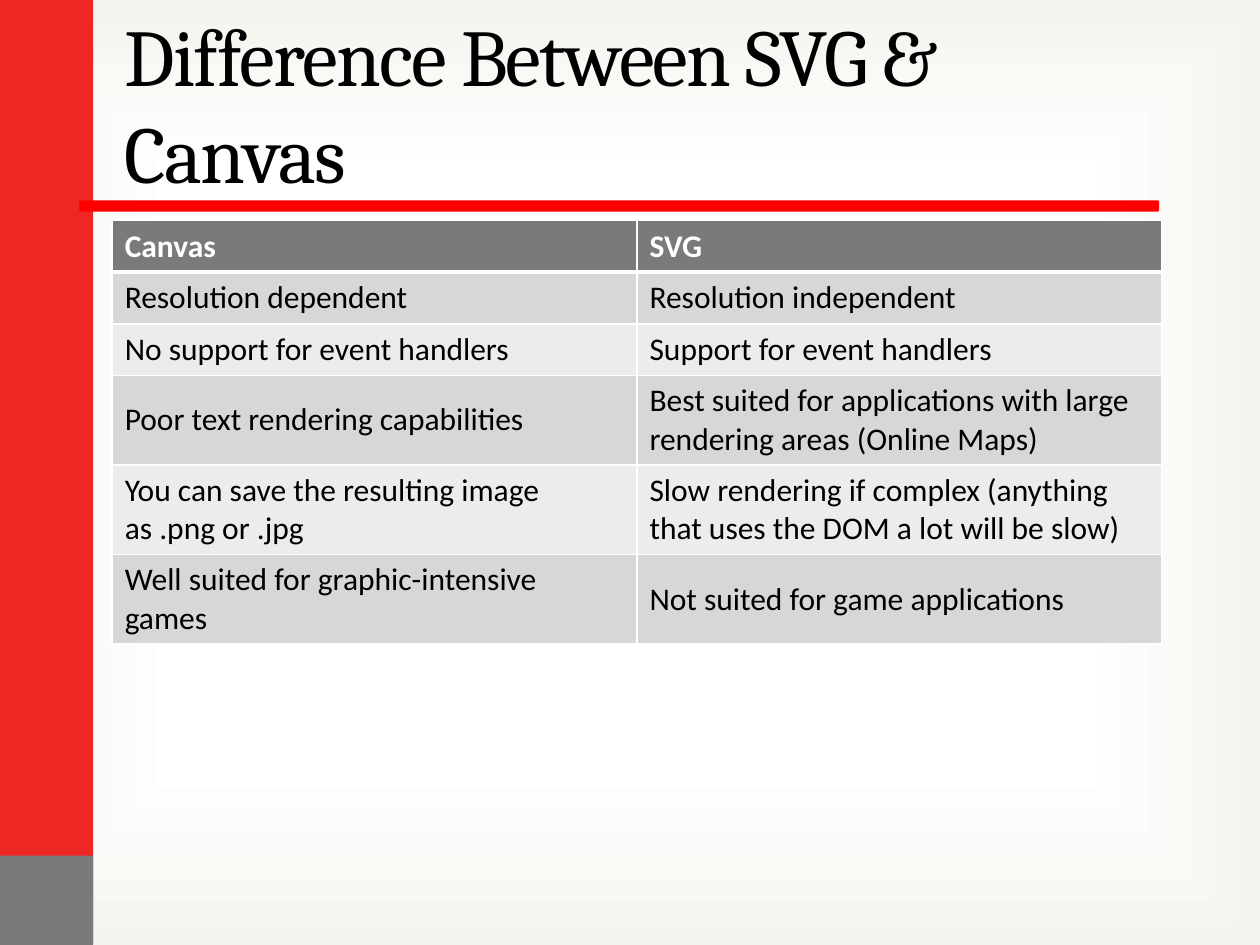
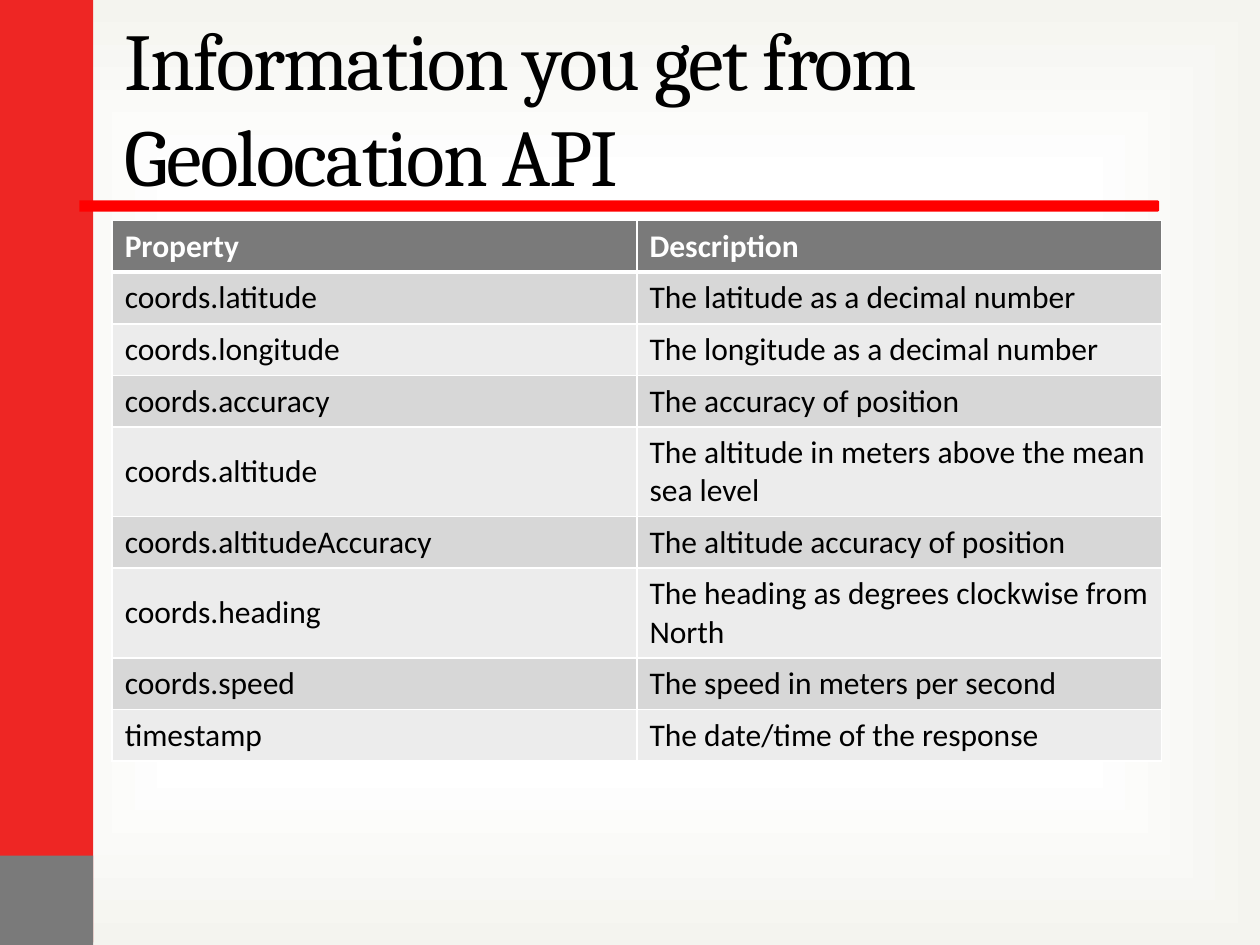
import dataclasses

import pptx
import pptx.dml.color
import pptx.enum.shapes
import pptx.enum.text
import pptx.oxml
import pptx.oxml.ns
import pptx.util
from pptx.util import Inches


@dataclasses.dataclass(frozen=True)
class Theme:
    """Colours, fonts and type sizes shared by the slides."""

    red: str = "EE2624"
    rule: str = "FF0000"
    grey: str = "7A7A7A"
    bands: tuple = ("D7D7D7", "ECECEC")
    paper: str = "FFFFFF"
    paper_edge: str = "F4F4EF"
    ink: str = "000000"
    title_font: str = "Cambria"
    body_font: str = "Calibri"
    title_size: int = 46
    body_size: int = 18


THEME = Theme()
LEFT, CONTENT_WIDTH = 0.89, 8.33
TABLE_TOP, ROW_HEIGHT = 1.75, 0.41

CANVAS_ROWS = [
    ("Canvas", "SVG"),
    ("Resolution dependent", "Resolution independent"),
    ("No support for event handlers", "Support for event handlers"),
    ("Poor text rendering capabilities",
     "Best suited for applications with large rendering areas (Online Maps)"),
    ("You can save the resulting image as .png or .jpg",
     "Slow rendering if complex (anything that uses the DOM a lot will be slow)"),
    ("Well suited for graphic-intensive games", "Not suited for game applications"),
]
GEOLOCATION_ROWS = [
    ("Property", "Description"),
    ("coords.latitude", "The latitude as a decimal number"),
    ("coords.longitude", "The longitude as a decimal number"),
    ("coords.accuracy", "The accuracy of position"),
    ("coords.altitude", "The altitude in meters above the mean sea level"),
    ("coords.altitudeAccuracy", "The altitude accuracy of position"),
    ("coords.heading", "The heading as degrees clockwise from North"),
    ("coords.speed", "The speed in meters per second"),
    ("timestamp", "The date/time of the response"),
]


def rgb(value):
    """Turn a hex string into a colour."""
    return pptx.dml.color.RGBColor.from_string(value)


def parse_drawing(xml):
    """Build a drawing element whose root uses the a: prefix."""
    head, tail = xml.split(" ", 1)
    return pptx.oxml.parse_xml(f"{head} {pptx.oxml.ns.nsdecls('a')} {tail}")


def write_text(frame, text, *, font, size, color, bold=False, spacing=0):
    """Write one left-aligned, formatted paragraph into a text frame."""
    frame.word_wrap = True
    para = frame.paragraphs[0]
    para.alignment = pptx.enum.text.PP_ALIGN.LEFT
    span = para.add_run()
    span.text = text
    span.font.name = font
    span.font.size = pptx.util.Pt(size)
    span.font.bold = bold
    span.font.color.rgb = rgb(color)
    if spacing:
        span.font._element.set("spc", str(round(spacing * 100)))


def paint_background(master):
    """Give the master a white glow that fades towards the edges."""
    fill = master.background.fill
    fill.gradient()
    stops = ((0, THEME.paper), (62, THEME.paper), (100, THEME.paper_edge))
    stop_xml = "".join(
        f'<a:gs pos="{place * 1000}"><a:srgbClr val="{color}"/></a:gs>'
        for place, color in stops
    )
    gradient = parse_drawing(
        f'<a:gradFill rotWithShape="1"><a:gsLst>{stop_xml}</a:gsLst>'
        '<a:path path="rect"><a:fillToRect l="50000" t="50000" r="50000" b="50000"/>'
        "</a:path></a:gradFill>"
    )
    old = master._element.find(".//" + pptx.oxml.ns.qn("a:gradFill"))
    old.getparent().replace(old, gradient)


def add_band(page, kind, left, top, width, height, color, rotation=0):
    """Add a plain filled shape without outline."""
    box = page.shapes.add_shape(
        kind, Inches(left), Inches(top), Inches(width), Inches(height)
    )
    box.shadow.inherit = False
    box.fill.solid()
    box.fill.fore_color.rgb = rgb(color)
    box.line.fill.background()
    box.rotation = rotation


def add_frame(page):
    """Add the side bands and the rule under the title."""
    kinds = pptx.enum.shapes.MSO_SHAPE
    add_band(page, kinds.RECTANGLE, -0.01, -0.02, 0.75, 7.5, THEME.red)
    add_band(page, kinds.RECTANGLE, -0.01, 6.79, 0.75, 0.75, THEME.grey)
    add_band(page, kinds.ROUND_2_SAME_RECTANGLE, 4.87, -2.65, 0.09, 8.57,
             THEME.rule, rotation=90)


def set_title(page, text, top):
    """Place and format the title placeholder."""
    title = page.shapes.title
    title.left, title.top = Inches(LEFT), Inches(top)
    title.width, title.height = Inches(CONTENT_WIDTH), Inches(1.25)
    frame = title.text_frame
    frame.auto_size = pptx.enum.text.MSO_AUTO_SIZE.NONE
    frame.vertical_anchor = pptx.enum.text.MSO_ANCHOR.MIDDLE
    write_text(frame, text, font=THEME.title_font, size=THEME.title_size,
               color=THEME.ink, spacing=-1)


def set_borders(cell, top, bottom):
    """Draw white cell borders, with the given top and bottom widths in points."""
    properties = cell._tc.get_or_add_tcPr()
    widths = {"lnL": 1, "lnR": 1, "lnT": top, "lnB": bottom}
    for index, (side, width) in enumerate(widths.items()):
        properties.insert(index, parse_drawing(
            f'<a:{side} w="{pptx.util.Pt(width)}"><a:solidFill>'
            f'<a:srgbClr val="{THEME.paper}"/></a:solidFill></a:{side}>'
        ))


def add_banded_table(page, rows):
    """Add a two-column table with a dark header and alternating rows."""
    table = page.shapes.add_table(
        len(rows), len(rows[0]), Inches(LEFT), Inches(TABLE_TOP),
        Inches(CONTENT_WIDTH), Inches(ROW_HEIGHT * len(rows)),
    ).table
    for row_index, texts in enumerate(rows):
        header = row_index == 0
        fill = THEME.grey if header else THEME.bands[(row_index - 1) % 2]
        for column_index, text in enumerate(texts):
            cell = table.cell(row_index, column_index)
            cell.vertical_anchor = pptx.enum.text.MSO_ANCHOR.MIDDLE
            cell.fill.solid()
            cell.fill.fore_color.rgb = rgb(fill)
            set_borders(cell, top=3 if row_index == 1 else 1, bottom=3 if header else 1)
            write_text(cell.text_frame, text, font=THEME.body_font,
                       size=THEME.body_size, bold=header,
                       color=THEME.paper if header else THEME.ink)


def add_table_page(deck, title, title_top, rows):
    """Add one slide made of the frame, a title and a table."""
    page = deck.slides.add_slide(deck.slide_layouts.get_by_name("Title Only"))
    add_frame(page)
    set_title(page, title, title_top)
    add_banded_table(page, rows)


def main():
    """Build and save the deck."""
    deck = pptx.Presentation()
    deck.slide_width, deck.slide_height = Inches(10), Inches(7.5)
    paint_background(deck.slide_master)
    add_table_page(deck, "Difference Between SVG & Canvas", 0.19, CANVAS_ROWS)
    add_table_page(deck, "Information you get from Geolocation API", 0.22,
                   GEOLOCATION_ROWS)
    deck.save("out.pptx")


if __name__ == "__main__":
    main()
